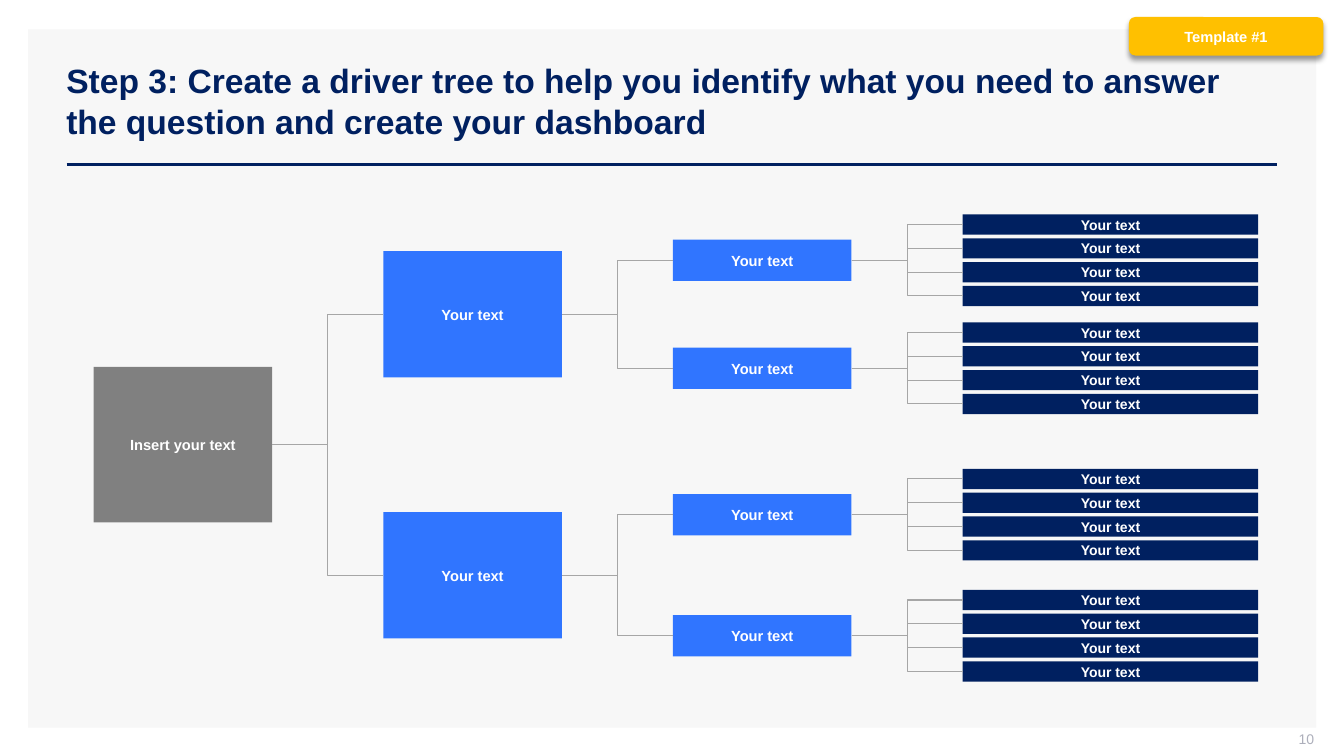
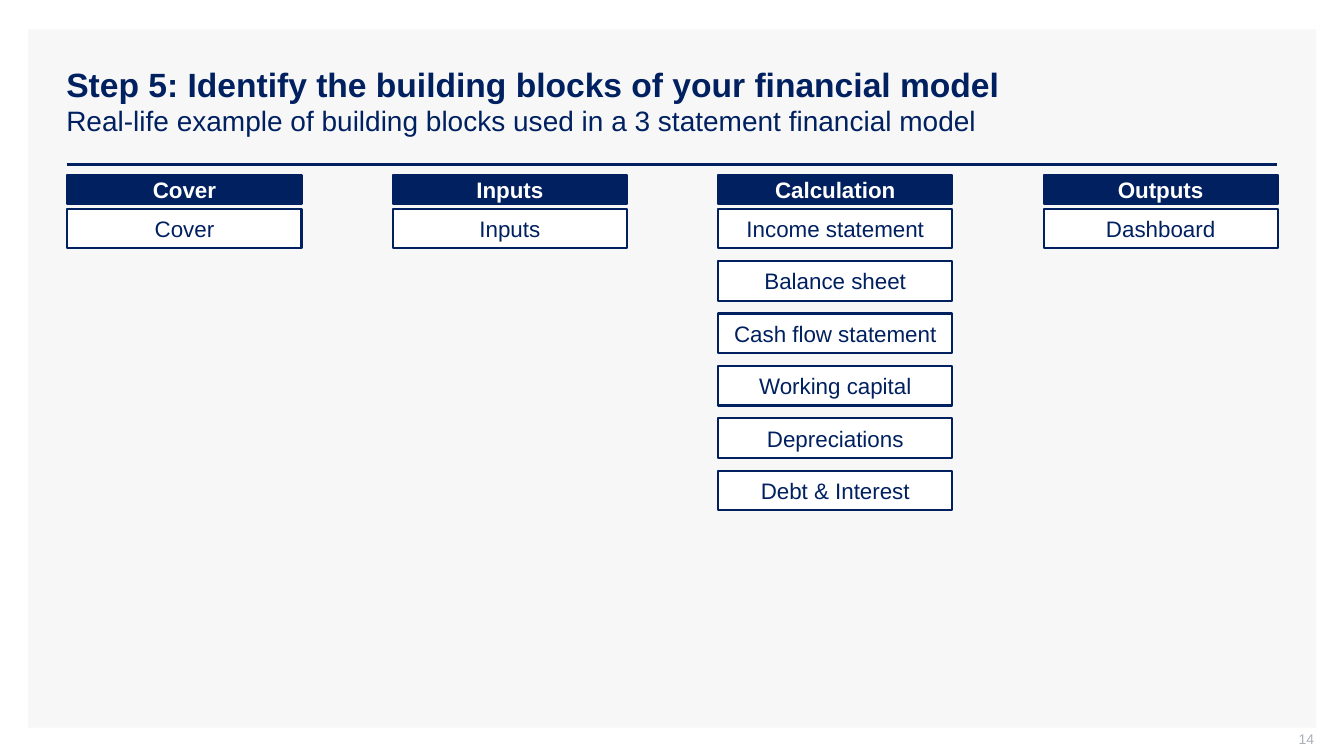
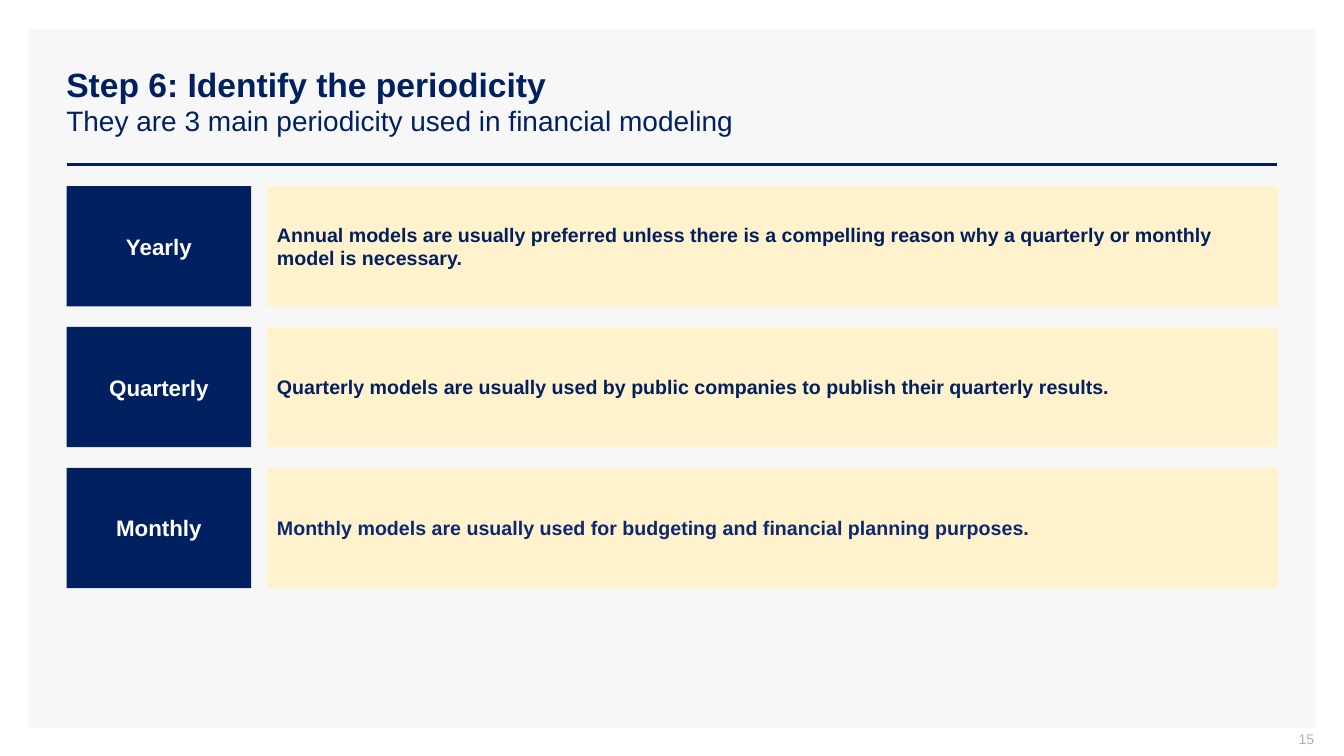
from lxml.etree import SubElement
from pptx import Presentation
from pptx.dml.color import RGBColor
from pptx.enum.shapes import MSO_CONNECTOR as Link, MSO_SHAPE as Preset
from pptx.enum.text import MSO_ANCHOR as Anchor, MSO_AUTO_SIZE as AutoSize, PP_ALIGN as Align
from pptx.oxml.ns import qn
from pptx.util import Cm, Pt

# Shared look
FONT = "Arial"
NAVY, BLUE, GREY, WHITE = "002060", "3075FF", "808080", "FFFFFF"
PANEL, LINK, NUMBER, AMBER, CREAM = "F7F7F7", "A6A6A6", "ADAFBB", "FFC000", "FFF2CC"
LEFT, RIGHT = 1.68, 32.18
INSETS = (0.25, 0.13, 0.25, 0.13)

# Content: a tree node is (text, children); each driver also has a centre height
LEAVES = ["Your text"] * 4
TREE_TITLE = ("Step 3: Create a driver tree to help you identify what you need "
              "to answer the question and create your dashboard")
TREE = ("Insert your text", [
    ("Your text", [("Your text", 6.56, LEAVES), ("Your text", 9.28, LEAVES)]),
    ("Your text", [("Your text", 12.97, LEAVES), ("Your text", 16.02, LEAVES)]),
])
BLOCKS_TITLE = "Step 5: Identify the building blocks of your financial model"
BLOCKS_SUBTITLE = "Real-life example of building blocks used in a 3 statement financial model"
BLOCKS = [
    ("Cover", ["Cover"]),
    ("Inputs", ["Inputs"]),
    ("Calculation", ["Income statement", "Balance sheet", "Cash flow statement",
                     "Working capital", "Depreciations", "Debt & Interest"]),
    ("Outputs", ["Dashboard"]),
]
PERIODS_TITLE = "Step 6: Identify the periodicity"
PERIODS_SUBTITLE = "They are 3 main periodicity used in financial modeling"
PERIODS = [
    ("Yearly", "Annual models are usually preferred unless there is a compelling reason "
               "why a quarterly or monthly model is necessary.", NAVY),
    ("Quarterly", "Quarterly models are usually used by public companies to publish "
                  "their quarterly results.", NAVY),
    ("Monthly", "Monthly models are usually used for budgeting and financial planning "
                "purposes.", "0C2870"),
]


# Helpers
def rgb(color):
    return RGBColor.from_string(color)


def write(para, text, size=16, color=NAVY, bold=False, align=Align.CENTER):
    para.alignment = align
    span = para.add_run()
    span.text = text
    span.font.name, span.font.size, span.font.bold = FONT, Pt(size), bold
    span.font.color.rgb = rgb(color)


def set_frame(frame, insets):
    frame.word_wrap = True
    frame.auto_size = AutoSize.NONE
    frame.vertical_anchor = Anchor.MIDDLE
    (frame.margin_left, frame.margin_top,
     frame.margin_right, frame.margin_bottom) = map(Cm, insets)


def add_box(page, left, top, width, height, fill, text="", preset=Preset.RECTANGLE,
            outline=None, insets=INSETS, **style):
    box = page.shapes.add_shape(preset, Cm(left), Cm(top), Cm(width), Cm(height))
    box.shadow.inherit = False
    box.fill.solid()
    box.fill.fore_color.rgb = rgb(fill)
    if outline:
        box.line.color.rgb, box.line.width = rgb(outline), Pt(1.5)
    else:
        box.line.fill.background()
    set_frame(box.text_frame, insets)
    if text:
        write(box.text_frame.paragraphs[0], text, **style)
    return box


def add_line(page, kind, color, width, start=(0, 0), end=(0, 0)):
    line = page.shapes.add_connector(kind, *map(Cm, start + end))
    line.line.color.rgb, line.line.width = rgb(color), Pt(width)
    SubElement(line.element.spPr, qn("a:effectLst"))
    return line


def join(page, parent, child):
    link = add_line(page, Link.ELBOW, LINK, 0.75)
    link.begin_connect(parent, 3)
    link.end_connect(child, 1)


def add_drop_shadow(box):
    effects = box.element.spPr.find(qn("a:effectLst"))
    shadow = SubElement(effects, qn("a:outerShdw"), blurRad=str(Pt(4)), dist=str(Pt(3)),
                        dir="5400000", algn="t", rotWithShape="0")
    black = SubElement(shadow, qn("a:srgbClr"), val="000000")
    SubElement(black, qn("a:alpha"), val="40000")


def dress_layout(deck, layout):
    """Give the layout its panel, rule and title area."""
    title = layout.placeholders[0]
    title.left, title.top, title.width, title.height = map(Cm, (1.42, 1.02, 30.76, 3.02))
    # Layouts cannot add shapes, so draw on a page and move them over
    page = deck.slides[0]
    panel = add_box(page, 0.71, 0.74, 32.46, 17.6, PANEL)
    rule = add_line(page, Link.STRAIGHT, NAVY, 2, (LEFT, 4.14), (RIGHT, 4.14))
    for position, part in enumerate((panel, rule), start=2):
        layout.shapes.element.insert(position, part.element)


def add_page(deck, layout, number, title, subtitle=None):
    page = deck.slides.add_slide(layout)
    frame = page.shapes.title.text_frame
    set_frame(frame, INSETS)
    para = frame.paragraphs[0]
    write(para, title, size=24, bold=True, align=Align.LEFT)
    if subtitle:
        para.add_line_break()
        write(para, subtitle, size=20, align=Align.LEFT)
    box = page.shapes.add_textbox(Cm(25.5), Cm(18.42), Cm(7.62), Cm(0.53))
    set_frame(box.text_frame, (0.25, 0, 0, 0.13))
    write(box.text_frame.paragraphs[0], str(number), size=10, color=NUMBER, align=Align.RIGHT)
    return page


# Driver tree
def add_node(page, level, center, text):
    width, height, fill, size = [(4.5, 3.92, GREY, 10.5), (4.5, 3.18, BLUE, 10.5),
                                 (4.5, 1.04, BLUE, 10.5), (7.45, 0.51, NAVY, 10)][level]
    return add_box(page, 2.36 + 7.3 * level, center - height / 2, width, height, fill, text,
                   insets=(0.05,) * 4, size=size, color=WHITE, bold=True)


def add_tree(page, node, level=0):
    """Draw a node beside its children and return its box and centre height."""
    if len(node) == 3:
        text, center, leaves = node
        first = center - 0.6 * (len(leaves) - 1) / 2
        children = [add_node(page, level + 1, first + 0.6 * row, leaf)
                    for row, leaf in enumerate(leaves)]
    else:
        text, branches = node
        children, centers = zip(*[add_tree(page, branch, level + 1) for branch in branches])
        center = sum(centers) / len(centers)
    box = add_node(page, level, center, text)
    for child in children:
        join(page, box, child)
    return box, center


def fill_tree_page(page):
    add_tree(page, TREE)
    tag = add_box(page, 28.45, 0.43, 4.9, 0.97, AMBER, "Template #1",
                  preset=Preset.ROUNDED_RECTANGLE, size=10.5, color=WHITE, bold=True)
    add_drop_shadow(tag)


# Building blocks
def fill_blocks_page(page):
    width = 5.9
    pitch = (RIGHT - LEFT - width) / (len(BLOCKS) - 1)
    for column, (heading, items) in enumerate(BLOCKS):
        left = LEFT + 0.02 + pitch * column
        add_box(page, left, 4.4, width, 0.74, NAVY, heading, outline=NAVY,
                color=WHITE, bold=True)
        for row, item in enumerate(items):
            add_box(page, left, 5.26 + 1.32 * row, width, 1, WHITE, item, outline=NAVY)


# Periodicity
def fill_periods_page(page):
    for row, (label, text, color) in enumerate(PERIODS):
        top = 4.69 + 3.55 * row
        add_box(page, LEFT, top, 4.65, 3.03, NAVY, label, color=WHITE, bold=True)
        add_box(page, 6.73, top, 25.47, 3.03, CREAM, text, size=14, color=color,
                bold=True, align=Align.LEFT)


def main():
    deck = Presentation()
    deck.slide_width, deck.slide_height = Cm(33.87), Cm(19.05)
    layout = deck.slide_layouts.get_by_name("Title Only")
    tree_page = add_page(deck, layout, 10, TREE_TITLE)
    dress_layout(deck, layout)
    fill_tree_page(tree_page)
    fill_blocks_page(add_page(deck, layout, 14, BLOCKS_TITLE, BLOCKS_SUBTITLE))
    fill_periods_page(add_page(deck, layout, 15, PERIODS_TITLE, PERIODS_SUBTITLE))
    deck.save("out.pptx")


if __name__ == "__main__":
    main()
